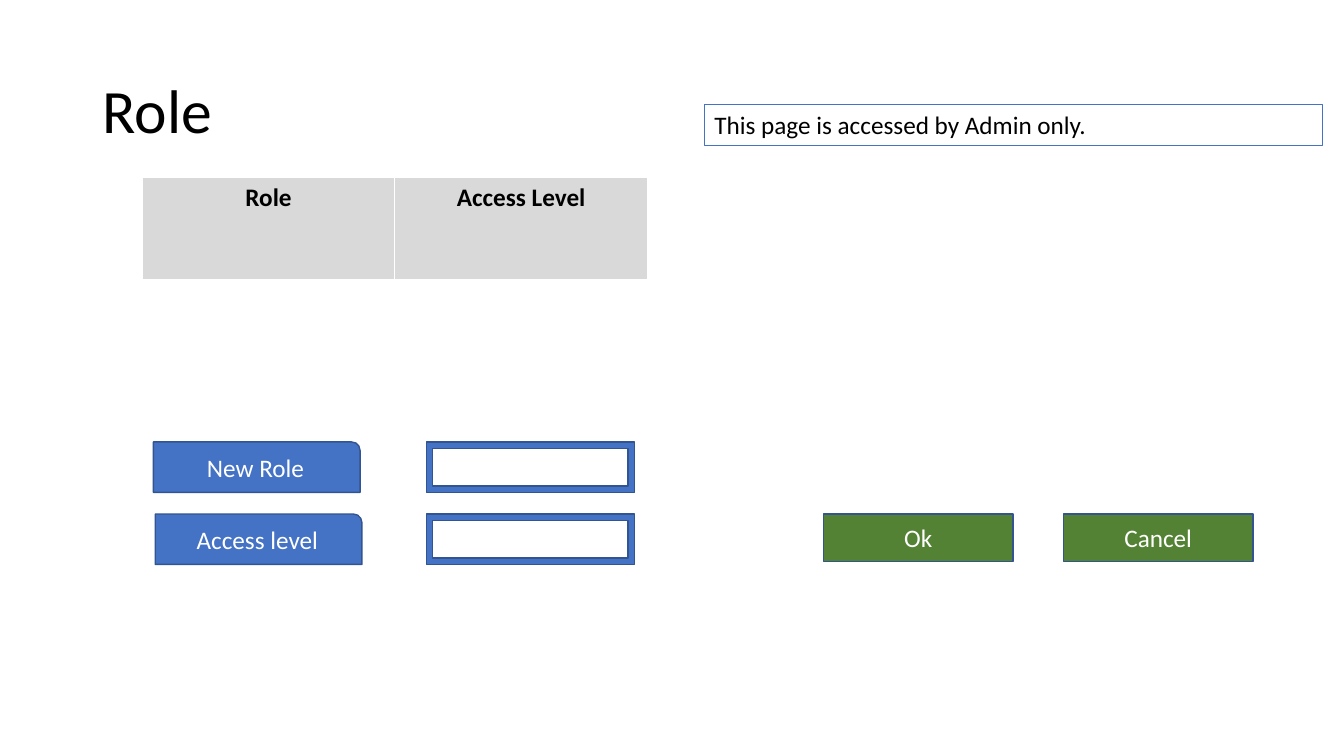
from pptx import Presentation
from pptx.dml.color import RGBColor
from pptx.enum.shapes import MSO_SHAPE
from pptx.enum.text import MSO_ANCHOR, MSO_AUTO_SIZE, PP_ALIGN
from pptx.util import Pt

LEFT, CENTER = PP_ALIGN.LEFT, PP_ALIGN.CENTER
MIDDLE, TOP = MSO_ANCHOR.MIDDLE, MSO_ANCHOR.TOP
NO_AUTOFIT = MSO_AUTO_SIZE.NONE
RECT, FRAME, LABEL = MSO_SHAPE.RECTANGLE, MSO_SHAPE.FRAME, MSO_SHAPE.ROUND_1_RECTANGLE
BLUE, DARK_BLUE, GREEN = "4472C4", "325491", "548235"
GRAY, BLACK, WHITE = "D9D9D9", "000000", "FFFFFF"
FIELD_LEFT, FIELD_HEIGHT = 304.6, 36
BUTTON_TOP = 367.2


def color(value):
    return RGBColor.from_string(value)


def write(frame, text, size=18, ink=BLACK, align=LEFT, anchor=TOP, bold=False):
    frame.text = text
    frame.word_wrap = True
    frame.vertical_anchor = anchor
    paragraph = frame.paragraphs[0]
    paragraph.alignment = align
    font = paragraph.font
    font.name, font.size, font.bold = "Calibri", Pt(size), bold
    font.color.rgb = color(ink)
    return paragraph


def add_box(slide, preset, left, top, width, height, fill=None, line=DARK_BLUE, weight=1):
    box = slide.shapes.add_shape(preset, Pt(left), Pt(top), Pt(width), Pt(height))
    box.shadow.inherit = False
    if fill:
        box.fill.solid()
        box.fill.fore_color.rgb = color(fill)
    else:
        box.fill.background()
    box.line.color.rgb = color(line)
    box.line.width = Pt(weight)
    return box


def add_title(slide, text):
    title = slide.shapes.title
    title.left, title.top, title.width, title.height = Pt(66), Pt(28.8), Pt(828), Pt(104.4)
    write(title.text_frame, text, size=44, anchor=MIDDLE).line_spacing = 0.9
    title.text_frame.auto_size = NO_AUTOFIT


def add_role_table(slide, headers):
    table = slide.shapes.add_table(
        1, len(headers), Pt(101.6), Pt(126.5), Pt(361), Pt(73.4)).table
    for cell, header in zip(table.rows[0].cells, headers):
        cell.fill.solid()
        cell.fill.fore_color.rgb = color(GRAY)
        write(cell.text_frame, header, align=CENTER, bold=True)


def add_field(slide, text, left, top):
    add_box(slide, FRAME, FIELD_LEFT, top, 148.6, FIELD_HEIGHT, BLUE)
    label = add_box(slide, LABEL, left, top, 147.6, FIELD_HEIGHT, BLUE)
    write(label.text_frame, text, ink=WHITE, align=CENTER, anchor=MIDDLE)


def add_button(slide, text, left):
    button = add_box(slide, RECT, left, BUTTON_TOP, 135.4, 33.8, GREEN)
    write(button.text_frame, text, ink=WHITE, align=CENTER, anchor=MIDDLE)


def add_access_note(slide, text):
    note = add_box(slide, RECT, 503.2, 74.7, 441.2, 29.1, line=BLUE, weight=0.75)
    write(note.text_frame, text)


def main():
    deck = Presentation()
    deck.slide_width, deck.slide_height = Pt(960), Pt(540)
    slide = deck.slides.add_slide(deck.slide_layouts.get_by_name("Title Only"))
    add_title(slide, "Role")
    add_field(slide, "Access level", 110.9, 367.2)
    add_field(slide, "New Role", 109.6, 315.7)
    add_button(slide, "Ok", 588.2)
    add_button(slide, "Cancel", 759.6)
    add_role_table(slide, ["Role", "Access Level"])
    add_access_note(slide, "This page is accessed by Admin only.")
    deck.save("out.pptx")


if __name__ == "__main__":
    main()
